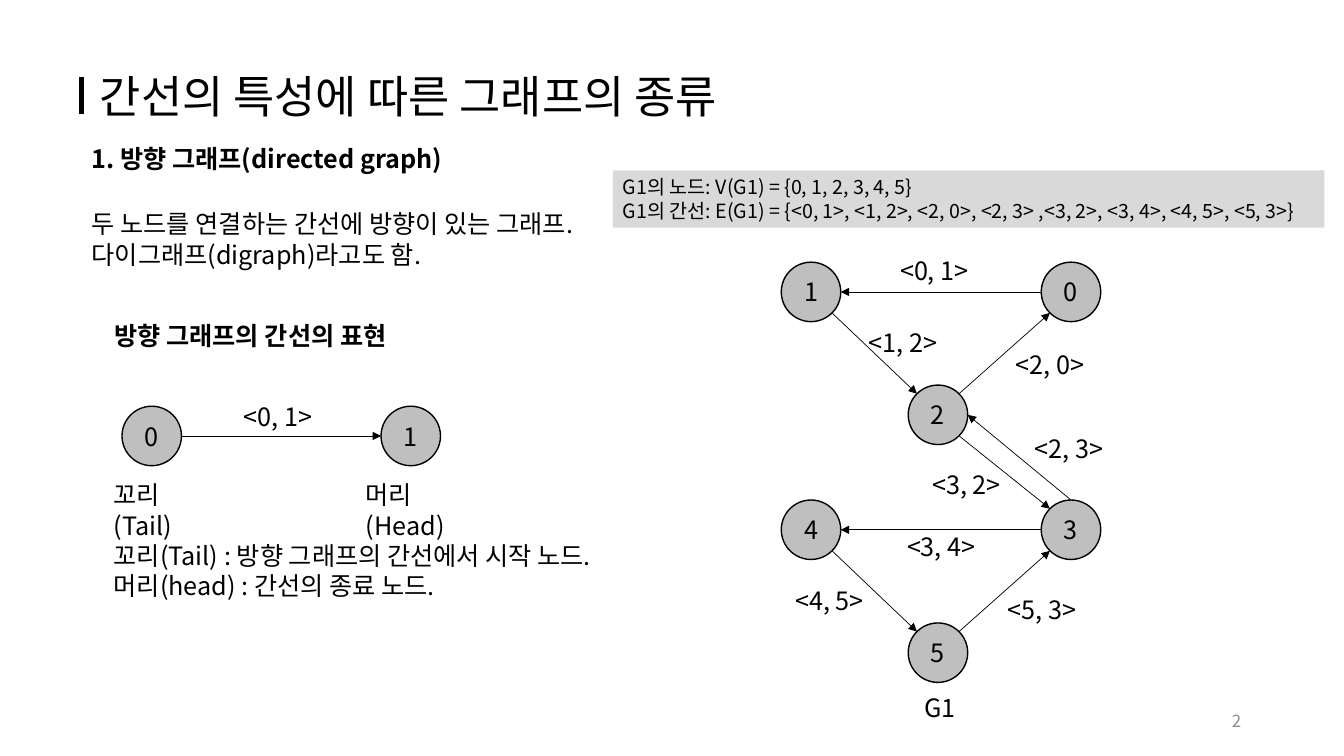
from lxml import etree
from pptx import Presentation
from pptx.dml.color import RGBColor
from pptx.enum import shapes, text
from pptx.oxml import ns
from pptx.util import Pt

# Content: boxes are (left, top, width, height) in points
FONT = "Noto Sans CJK KR"
BLACK, NODE_FILL, BAND_FILL, NUMBER_GREY = "000000", "BFBFBF", "D9D9D9", "8C8C8C"
TITLE = "간선의 특성에 따른 그래프의 종류"
DEFINITION = ["두 노드를 연결하는 간선에 방향이 있는 그래프.", "다이그래프(digraph)라고도 함."]
HEADINGS = [
    ("1. 방향 그래프(directed graph)", (58.3, 98.6, 709, 29)),
    ("방향 그래프의 간선의 표현", (74.6, 225.4, 693, 29)),
]
NOTES = [
    (["꼬리(Tail)"], (74.2, 339.1, 85.7, 29)),
    (["머리(Head)"], (254.2, 339.1, 102.2, 29)),
    (["꼬리(Tail) : 방향 그래프의 간선에서 시작 노드.", "머리(head) : 간선의 종료 노드."],
     (74.2, 382.3, 696, 51)),
]
SETS = [
    "G1의 노드: V(G1) = {0, 1, 2, 3, 4, 5}",
    "G1의 간선: E(G1) = {<0, 1>, <1, 2>, <2, 0>, <2, 3> ,<3, 2>, <3, 4>, <4, 5>, <5, 3>}",
]
PAGE_NUMBER = "2"

# Graphs: node centres, edges (start, port, end, port), label corners
LEFT, MIDDLE, RIGHT = 579.3, 670, 765
EXAMPLE = {
    "nodes": {"0": (108.4, 311.4), "1": (293.4, 311.4)},
    "edges": [("0", "E", "1", "W")],
    "labels": [("<0, 1>", 167, 283)],
}
G1 = {
    "nodes": {
        "1": (LEFT, 208.5), "0": (RIGHT, 208.5), "2": (MIDDLE, 296.3),
        "3": (RIGHT, 378.4), "4": (LEFT, 378.4), "5": (MIDDLE, 466.2),
    },
    "edges": [
        ("0", "W", "1", "E"), ("1", "SE", "2", "NW"), ("2", "NE", "0", "SW"),
        ("2", "SE", "3", "NW"), ("3", "N", "2", "E"), ("3", "W", "4", "E"),
        ("4", "SE", "5", "NW"), ("5", "NE", "3", "SW"),
    ],
    "labels": [
        ("<0, 1>", 635.8, 178.6), ("<1, 2>", 613.4, 230.4), ("<2, 0>", 718.6, 246.2),
        ("<2, 3>", 732.2, 306), ("<3, 2>", 658.8, 331.9), ("<3, 4>", 640.8, 375.8),
        ("<5, 3>", 712.8, 421.2), ("<4, 5>", 560.9, 414.7), ("G1", 653, 491),
    ],
}
RADIUS = 21.25
DIAGONAL = 0.707
PORTS = {
    "N": (0, -1), "E": (1, 0), "W": (-1, 0), "NE": (DIAGONAL, -DIAGONAL),
    "NW": (-DIAGONAL, -DIAGONAL), "SE": (DIAGONAL, DIAGONAL), "SW": (-DIAGONAL, DIAGONAL),
}


def color(hex_code):
    return RGBColor.from_string(hex_code)


def write(shape, lines, size=18, bold=False, fill=BLACK,
          align=text.PP_ALIGN.LEFT, anchor=text.MSO_ANCHOR.TOP):
    frame = shape.text_frame
    frame.word_wrap = True
    frame.auto_size = text.MSO_AUTO_SIZE.NONE
    frame.vertical_anchor = anchor
    frame.text = "\n".join(lines)
    for paragraph in frame.paragraphs:
        paragraph.alignment = align
        paragraph.space_before = Pt(0)
        properties = paragraph._p.get_or_add_pPr()
        properties.set("marL", "0")
        properties.set("indent", "0")
        etree.SubElement(properties, ns.qn("a:buNone"))
        font = paragraph.font
        font.size, font.bold, font.name = Pt(size), bold, FONT
        font.color.rgb = color(fill)
        latin = properties.find(".//" + ns.qn("a:latin"))
        east_asian = etree.Element(ns.qn("a:ea"), typeface=FONT)
        latin.addnext(east_asian)


def place(shape, box):
    shape.left, shape.top, shape.width, shape.height = map(Pt, box)


def add_text(slide, lines, box, **style):
    write(slide.shapes.add_textbox(*map(Pt, box)), lines, **style)


def add_filled(slide, kind, box, fill):
    shape = slide.shapes.add_shape(kind, *map(Pt, box))
    shape.shadow.inherit = False
    shape.fill.solid()
    shape.fill.fore_color.rgb = color(fill)
    return shape


def add_line(slide, start, end, width, arrow=False):
    line = slide.shapes.add_connector(
        shapes.MSO_CONNECTOR.STRAIGHT, *map(Pt, (*start, *end)))
    line.line.color.rgb = color(BLACK)
    line.line.width = Pt(width)
    if arrow:
        etree.SubElement(line.line._get_or_add_ln(), ns.qn("a:tailEnd"), type="triangle")
    etree.SubElement(line._element.spPr, ns.qn("a:effectLst"))


def port_point(center, port):
    return tuple(c + RADIUS * d for c, d in zip(center, PORTS[port]))


def add_graph(slide, graph):
    nodes = graph["nodes"]
    for name, (x, y) in nodes.items():
        node = add_filled(slide, shapes.MSO_SHAPE.OVAL,
                          (x - RADIUS, y - RADIUS, 2 * RADIUS, 2 * RADIUS), NODE_FILL)
        node.line.color.rgb = color(BLACK)
        node.line.width = Pt(1)
        frame = node.text_frame
        frame.margin_left = frame.margin_right = frame.margin_top = frame.margin_bottom = 0
        write(node, [name], align=text.PP_ALIGN.CENTER, anchor=text.MSO_ANCHOR.MIDDLE)
    for start, start_port, end, end_port in graph["edges"]:
        add_line(slide, port_point(nodes[start], start_port),
                 port_point(nodes[end], end_port), 0.5, arrow=True)
    for label, x, y in graph["labels"]:
        add_text(slide, [label], (x, y, 68, 29))


def main():
    presentation = Presentation()
    presentation.slide_width, presentation.slide_height = Pt(960), Pt(540)
    slide = presentation.slides.add_slide(presentation.slide_layouts[1])

    # Title with its bar, and the definition
    title, body = slide.shapes.title, slide.placeholders[1]
    place(title, (64.1, 45.4, 486.7, 46))
    write(title, [TITLE], size=32)
    add_line(slide, (58.3, 54.7), (58.3, 81.4), 3)
    place(body, (58.3, 145.4, 696, 73))
    write(body, DEFINITION)

    # Headings and notes
    for heading, box in HEADINGS:
        add_text(slide, [heading], box, bold=True)
    for lines, box in NOTES:
        add_text(slide, lines, box)

    # Graphs and the band with the sets of G1
    add_graph(slide, EXAMPLE)
    add_graph(slide, G1)
    band = add_filled(slide, shapes.MSO_SHAPE.RECTANGLE, (437.8, 121.7, 508.3, 41), BAND_FILL)
    band.line.fill.background()
    write(band, SETS, size=14)

    # Page number
    add_text(slide, [PAGE_NUMBER], (819.4, 500.4, 74.2, 28.8), size=12, fill=NUMBER_GREY,
             align=text.PP_ALIGN.RIGHT, anchor=text.MSO_ANCHOR.MIDDLE)
    presentation.save("out.pptx")


if __name__ == "__main__":
    main()
